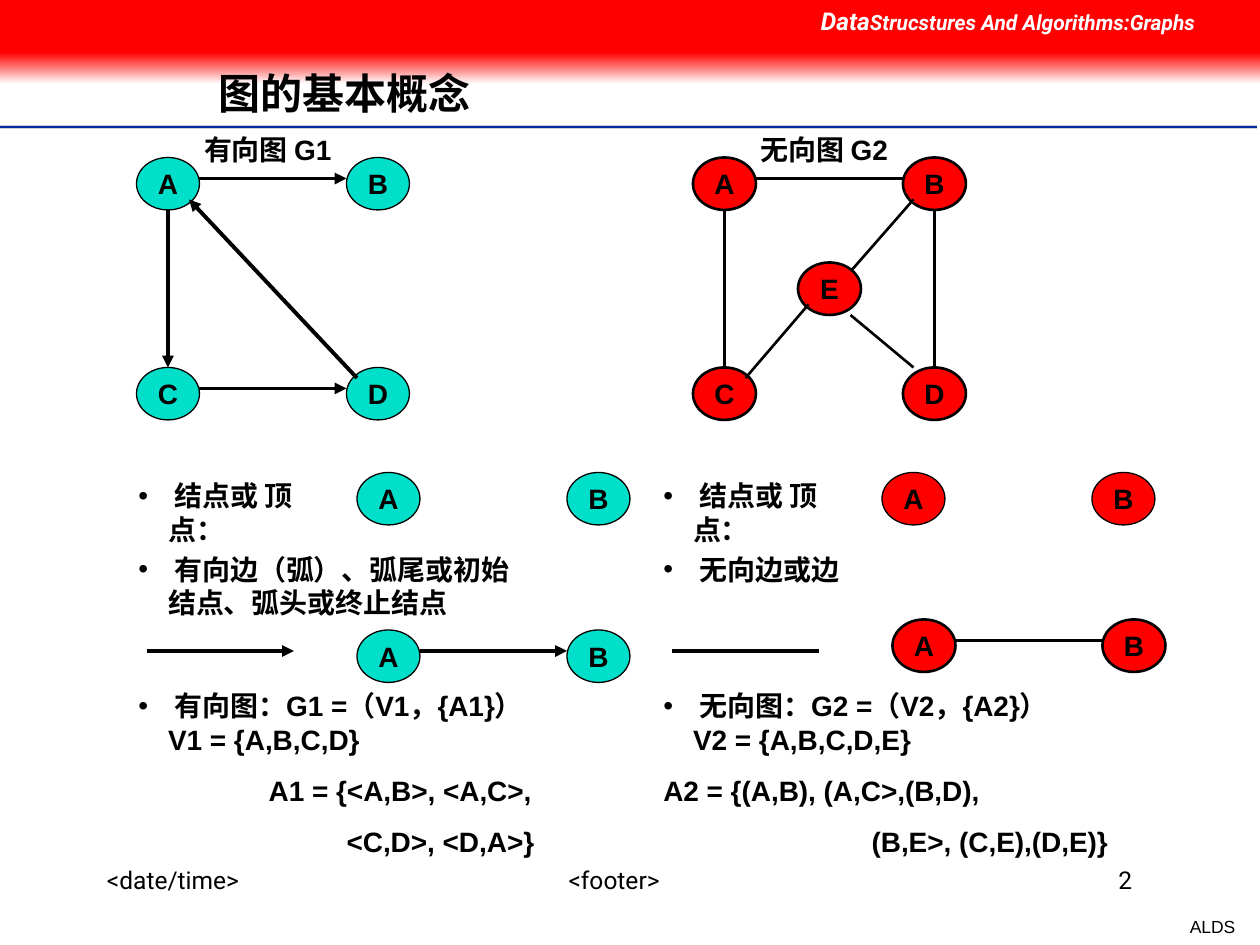
from dataclasses import dataclass

from lxml import etree
from pptx import Presentation
from pptx.dml.color import RGBColor
from pptx.enum.shapes import MSO_CONNECTOR, MSO_SHAPE
from pptx.enum.text import MSO_ANCHOR, PP_ALIGN as ALIGN
from pptx.oxml.ns import qn
from pptx.util import Pt


@dataclass(frozen=True)
class Theme:
    black: str = "000000"
    white: str = "FFFFFF"
    teal: str = "00DFCA"
    red: str = "FF0000"
    fade: str = "FEFEFE"
    blue: str = "00279F"
    grey: str = "CECECE"
    body_font: str = "Arial"
    label_font: str = "Roboto"
    title: int = 24
    body: int = 16
    footer: int = 14
    header: int = 12
    tag: int = 10


T = Theme()
NODE_W, NODE_H, STEP = 36, 30, 120
BULLET_INDENT = 17


def rgb(value):
    return RGBColor.from_string(value)


def add_run(p, text, size, font=T.body_font, color=T.black, bold=False, italic=False):
    r = p.add_run()
    r.text = text
    r.font.name, r.font.size = font, Pt(size)
    r.font.bold, r.font.italic = bold, italic
    r.font.color.rgb = rgb(color)


def add_text_box(slide, left, top, width, height, align=ALIGN.LEFT):
    """Return the frame and its first paragraph."""
    tf = slide.shapes.add_textbox(Pt(left), Pt(top), Pt(width), Pt(height)).text_frame
    tf.word_wrap = True
    p = tf.paragraphs[0]
    p.alignment = align
    return tf, p


def indent(p, left, first=0):
    pPr = p._p.get_or_add_pPr()
    pPr.set("marL", str(Pt(left)))
    pPr.set("indent", str(Pt(first)))
    return pPr


def add_bullet_box(slide, left, top, width, height, *lines):
    """Lines share one bulleted paragraph, split by line breaks."""
    tf, p = add_text_box(slide, left, top, width, height)
    pPr = indent(p, BULLET_INDENT, -BULLET_INDENT)
    etree.SubElement(pPr, qn("a:buFont")).set("typeface", T.body_font)
    etree.SubElement(pPr, qn("a:buChar")).set("char", "•")
    for i, line in enumerate(lines):
        if i:
            p.add_line_break()
        add_run(p, line, T.body, bold=True)
    return tf


def add_definition(slide, left, lines, edge_rows):
    tf = add_bullet_box(slide, left, 390, 294, 104, *lines)
    for text, offset in edge_rows:
        p = tf.add_paragraph()
        p.space_before = Pt(10)
        indent(p, offset)
        add_run(p, text, T.body, bold=True)


def add_line(slide, x1, y1, x2, y2, width, color=T.black, arrow=False):
    c = slide.shapes.add_connector(MSO_CONNECTOR.STRAIGHT, Pt(x1), Pt(y1), Pt(x2), Pt(y2))
    c.line.color.rgb, c.line.width = rgb(color), Pt(width)
    if arrow:
        etree.SubElement(c.line._get_or_add_ln(), qn("a:tailEnd")).set("type", "triangle")
    etree.SubElement(c._element.spPr, qn("a:effectLst"))


def add_node(slide, name, left, top, fill, outline):
    sp = slide.shapes.add_shape(MSO_SHAPE.OVAL, Pt(left), Pt(top), Pt(NODE_W), Pt(NODE_H))
    sp.shadow.inherit = False
    sp.fill.solid()
    sp.fill.fore_color.rgb = rgb(fill)
    sp.line.color.rgb, sp.line.width = rgb(T.black), Pt(outline)
    tf = sp.text_frame
    tf.word_wrap = False
    tf.vertical_anchor = MSO_ANCHOR.MIDDLE
    p = tf.paragraphs[0]
    p.alignment = ALIGN.CENTER
    add_run(p, name, T.body, bold=True)


def add_graph(slide, left, top, nodes, edges, fill, outline, weight, arrow):
    """Nodes and edges are placed relative to the graph's top left corner."""
    for name, (x, y) in nodes.items():
        add_node(slide, name, left + x, top + y, fill, outline)
    for x1, y1, x2, y2 in edges:
        add_line(slide, left + x1, top + y1, left + x2, top + y2, weight, arrow=arrow)


def add_band(slide, top, height):
    sp = slide.shapes.add_shape(MSO_SHAPE.RECTANGLE, 0, Pt(top), Pt(720), Pt(height))
    sp.shadow.inherit = False
    sp.line.fill.background()
    return sp.fill


def add_frame(slide):
    """Header band, rules and footer fields."""
    fade = add_band(slide, 30, 18)
    fade.gradient()
    fade.gradient_angle = 270
    for stop, color, position in zip(fade.gradient_stops, (T.red, T.fade), (0, 1)):
        stop.color.rgb, stop.position = rgb(color), position
    band = add_band(slide, 0, 30)
    band.solid()
    band.fore_color.rgb = rgb(T.red)

    for y, width, color in ((72.7, 2, T.grey), (72.7, 1, T.blue), (74.2, 1, T.white)):
        add_line(slide, 0, y, 718.5, y, width, color)

    _, p = add_text_box(slide, 462, 0, 258, 24.5)
    for text, size in (("Data", T.footer), ("Strucstures And Algorithms:Graphs", T.header)):
        add_run(p, text, size, T.label_font, T.white, bold=True, italic=True)

    for text, left, width, align in (("<date/time>", 54, 138, ALIGN.LEFT),
                                     ("<footer>", 246, 210, ALIGN.CENTER),
                                     ("2", 516, 138, ALIGN.RIGHT)):
        _, p = add_text_box(slide, left, 490.5, width, 36, align)
        add_run(p, text, T.footer, T.label_font)
    _, p = add_text_box(slide, 663, 520, 50, 19, ALIGN.RIGHT)
    add_run(p, "ALDS", T.tag)


def add_title(slide, text):
    tf, p = add_text_box(slide, 125, 28.5, 564, 53)
    tf.margin_left = tf.margin_right = tf.margin_top = tf.margin_bottom = 0
    tf.vertical_anchor = MSO_ANCHOR.MIDDLE
    p.line_spacing = 0.9
    add_run(p, text, T.title, bold=True)


def main():
    prs = Presentation()
    prs.slide_width, prs.slide_height = Pt(720), Pt(540)
    slide = prs.slides.add_slide(prs.slide_layouts[6])
    add_frame(slide)
    add_title(slide, "图的基本概念")

    pair = {"A": (0, 0), "B": (STEP, 0)}
    square = {**pair, "C": (0, STEP), "D": (STEP, STEP)}
    edge_ab = (NODE_W, 12, STEP, 12)
    edge_ac = (18, NODE_H, 18, STEP)
    directed = [edge_ab, (NODE_W, 132, STEP, 132), edge_ac, (126, 126, 30, 24)]
    behind_e = [edge_ab, edge_ac, (138, NODE_H, 138, STEP), (84, 72, 126, 24)]
    before_e = [(30, 126, 66, 84), (126, 120, 90, 90)]
    add_graph(slide, 78, 90, square, directed, T.teal, 0.75, 2.25, True)
    for nodes, edges in ((square, behind_e), ({"E": (60, 60)}, before_e)):
        add_graph(slide, 396, 90, nodes, edges, T.red, 1.5, 1.5, False)
    for text, left in (("有向图 G1", 90), ("无向图 G2", 408)):
        _, p = add_text_box(slide, left, 72, 126, 26.5, ALIGN.CENTER)
        add_run(p, text, T.body, bold=True)

    for left, edge_text, fill, node_left, arrow in (
            (72, " 有向边（弧）、弧尾或初始结点、弧头或终止结点", T.teal, 204, True),
            (372, " 无向边或边", T.red, 504, False)):
        add_bullet_box(slide, left, 270, 116, 46, " 结点或 顶点：")
        add_bullet_box(slide, left, 312, 240, 46, edge_text)
        add_graph(slide, node_left, 270, pair, [], fill, 0.75, 0, arrow)
        add_line(slide, left + 12, 372, left + 96, 372, 2.25, arrow=arrow)
    add_graph(slide, 204, 360, pair, [edge_ab], T.teal, 0.75, 2.25, True)
    add_graph(slide, 510, 354, pair, [edge_ab], T.red, 1.5, 1.5, False)

    add_definition(slide, 72, (" 有向图：G1 =（V1，{A1}）", "V1 = {A,B,C,D}"),
                   (("A1 = {<A,B>, <A,C>,", 74.5), ("<C,D>, <D,A>}", 119)))
    add_definition(slide, 372, (" 无向图：G2 =（V2，{A2}）", "V2 = {A,B,C,D,E}"),
                   (("A2 = {(A,B), (A,C>,(B,D),", 0), ("(B,E>, (C,E),(D,E)}", 119)))
    prs.save("out.pptx")


if __name__ == "__main__":
    main()
